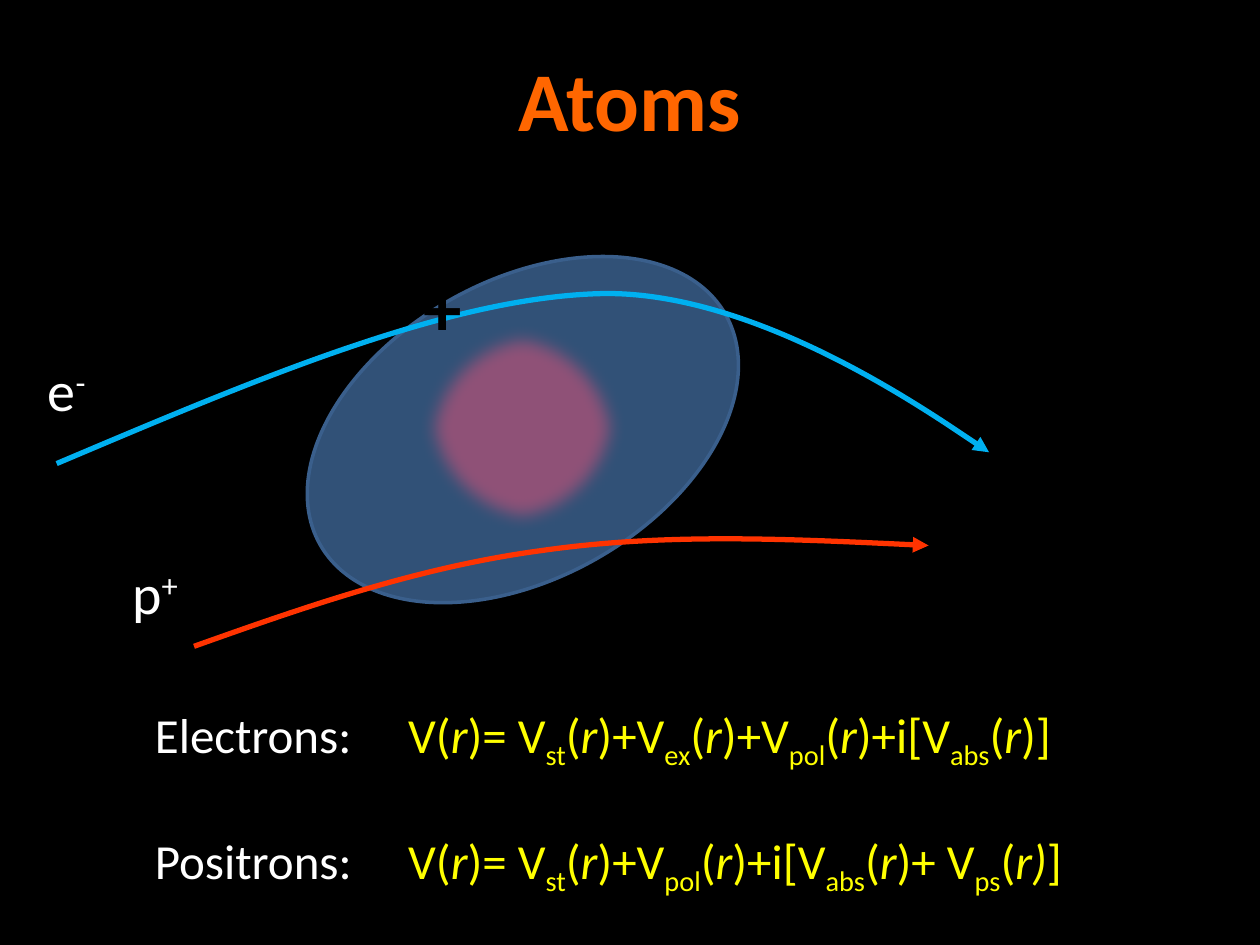
"""Build a slide on electron and positron scattering from atoms."""
from lxml import etree
from pptx import Presentation, util as u
from pptx.dml.color import RGBColor
from pptx.enum import shapes, text
from pptx.oxml import ns


class Theme:
    font = "Calibri"
    background, ink = "000000", "FFFFFF"
    title, formula = "FF6600", "FFFF00"
    cloud, nucleus, outline = "4F81BD", "FF0000", "3A5F8C"
    electron, positron = "00B0F0", "FF3300"
    title_size, sign_size, label_size, formula_size = 47.7, 44, 32, 28


def add_runs(paragraph, marked_text, size, color, bold=False):
    """Add runs split at |, where / is italic, _ subscript and ^ superscript."""
    for piece in marked_text.split("|"):
        run = paragraph.add_run()
        run.text = piece.lstrip("/_^")
        run.font.name, run.font.size, run.font.bold = Theme.font, u.Pt(size), bold
        run.font.color.rgb = RGBColor.from_string(color)
        run.font.italic = piece.startswith("/")
        if piece[0] in "_^":
            run.font._element.set("baseline", "-25000" if piece[0] == "_" else "30000")


def add_text_box(slide, left, top, width, height):
    """Add an empty wrapping text box and return its frame."""
    box = slide.shapes.add_textbox(*map(u.Inches, (left, top, width, height)))
    box.text_frame.word_wrap = True
    return box.text_frame


presentation = Presentation()
presentation.slide_width, presentation.slide_height = u.Inches(10), u.Inches(7.5)
slide = presentation.slides.add_slide(presentation.slide_layouts[6])
slide.background.fill.solid()
slide.background.fill.fore_color.rgb = RGBColor.from_string(Theme.background)

title_frame = add_text_box(slide, 0.5, 0.3, 9, 1.25)
title_frame.margin_top = u.Inches(0.08)
title_frame.paragraphs[0].alignment = text.PP_ALIGN.CENTER
add_runs(title_frame.paragraphs[0], "Atoms", Theme.title_size, Theme.title, True)

formulas = [
    ("Electrons:", "V(|/r|)= V|_st|(|/r|)+V|_ex|(|/r|)+V|_pol|(|/r|)+i[V|_abs|(|/r|)]"),
    ("Positrons:", "V(|/r|)= V|_st|(|/r|)+V|_pol|(|/r|)+i[V|_abs|(|/r|)+ V|_ps|(|/r)|]"),
]
formula_frame = add_text_box(slide, 0.63, 5.54, 8.66, 1.51)
formula_frame.margin_left = u.Inches(0.6)
for index, (name, formula) in enumerate(formulas):
    paragraph = formula_frame.add_paragraph() if index else formula_frame.paragraphs[0]
    tabs = etree.SubElement(paragraph._p.get_or_add_pPr(), ns.qn("a:tabLst"))
    etree.SubElement(tabs, ns.qn("a:tab"), pos=str(u.Inches(2.01)), algn="l")
    if index:
        paragraph.space_before = u.Pt(34)
    add_runs(paragraph, name + "\t", Theme.formula_size, Theme.ink)
    add_runs(paragraph, formula, Theme.formula_size, Theme.formula)

ellipses = []
for bounds, color in [((3.32, 2.57, 1.65, 1.65), Theme.nucleus),
                      ((2.3, 2.23, 3.7, 2.36), Theme.cloud)]:
    ellipse = slide.shapes.add_shape(shapes.MSO_SHAPE.OVAL, *map(u.Inches, bounds))
    ellipse.shadow.inherit = False
    ellipse.fill.solid()
    ellipse.fill.fore_color.rgb = RGBColor.from_string(color)
    ellipse.line.color.rgb = RGBColor.from_string(Theme.outline)
    ellipse.line.width = u.Pt(2)
    ellipses.append(ellipse)
nucleus, cloud = ellipses
effects = nucleus._element.spPr.find(ns.qn("a:effectLst"))
etree.SubElement(effects, ns.qn("a:softEdge"), rad=str(u.Pt(10)))
cloud.rotation = 330.4
cloud_color = cloud._element.spPr.find(ns.qn("a:solidFill"))[0]
etree.SubElement(cloud_color, ns.qn("a:alpha"), val="63000")

trajectories = [
    (Theme.electron, [(0.45, 3.68), (2.01, 3.02), (3.57, 2.35), (4.8, 2.33),
                      (6.03, 2.32), (7.85, 3.59), (7.85, 3.59)]),
    (Theme.positron, [(1.54, 5.13), (2.44, 4.81), (3.33, 4.5), (4.3, 4.37),
                      (5.27, 4.23), (6.32, 4.28), (7.37, 4.33)]),
]
for color, points in trajectories:
    builder = slide.shapes.build_freeform(*points[0], scale=u.Inches(1))
    builder = slide.shapes.build_freeform(
        u.Inches(points[0][0]), u.Inches(points[0][1]))
    builder.add_line_segments(
        [(u.Inches(x), u.Inches(y)) for x, y in points[1:]], close=False)
    curve = builder.convert_to_shape()
    segments = list(curve._element.iter(ns.qn("a:lnTo")))
    outline = segments[0].getparent()
    for start in range(0, len(segments), 3):
        bezier = etree.SubElement(outline, ns.qn("a:cubicBezTo"))
        for segment in segments[start:start + 3]:
            bezier.append(segment[0])
            outline.remove(segment)
    curve.shadow.inherit = False
    curve.fill.background()
    curve.line.color.rgb = RGBColor.from_string(color)
    curve.line.width = u.Pt(3)
    etree.SubElement(curve.line._get_or_add_ln(), ns.qn("a:tailEnd"), type="triangle")

labels = [
    ("e|^-", (0.28, 2.77, 1, 0.64), Theme.label_size, Theme.ink, False),
    ("p|^+", (0.95, 4.38, 1, 0.64), Theme.label_size, Theme.ink, False),
    ("+", (3.26, 2.01, 0.53, 0.84), Theme.sign_size, Theme.background, True),
]
for label, bounds, size, color, bold in labels:
    add_runs(add_text_box(slide, *bounds).paragraphs[0], label, size, color, bold)

presentation.save("out.pptx")
